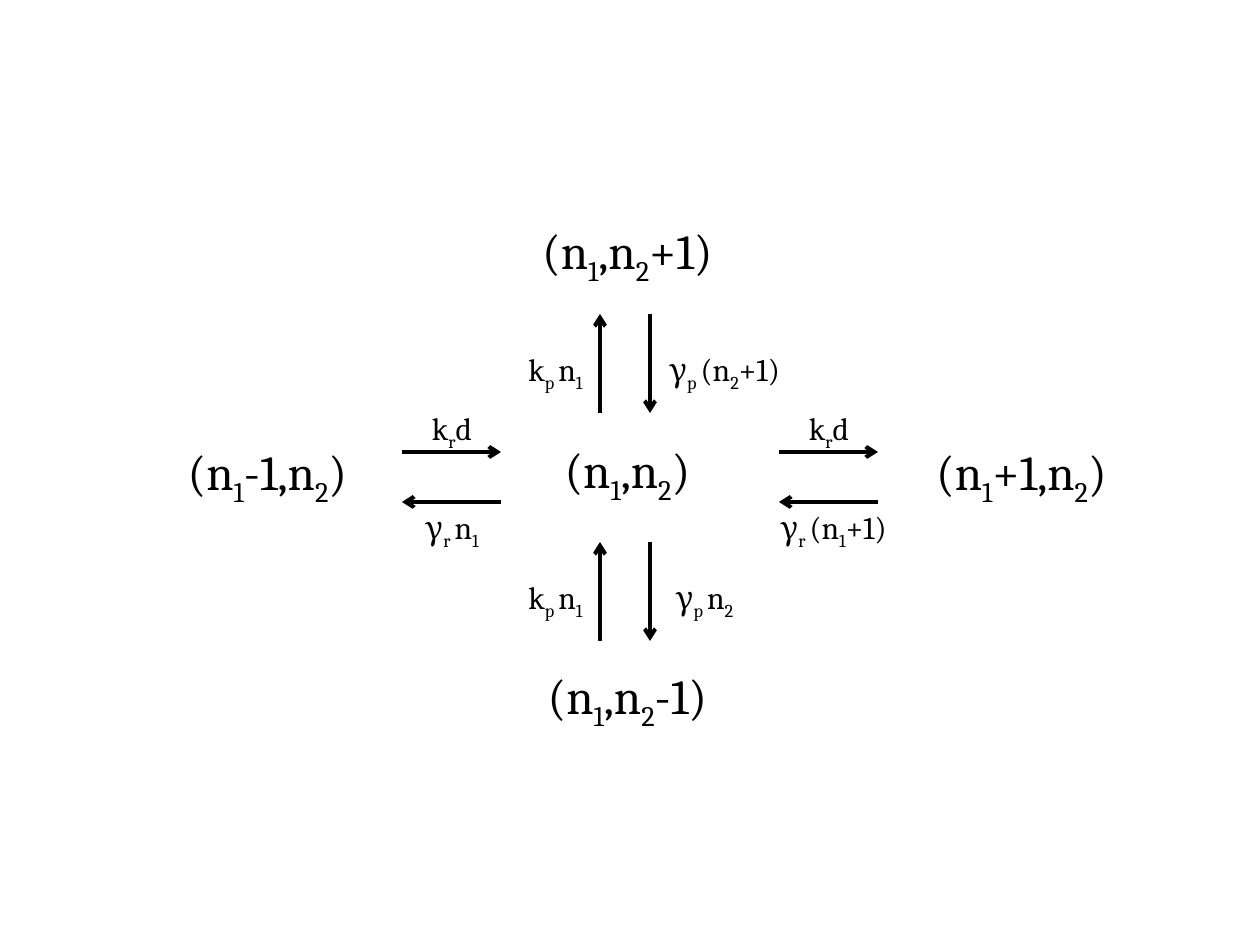
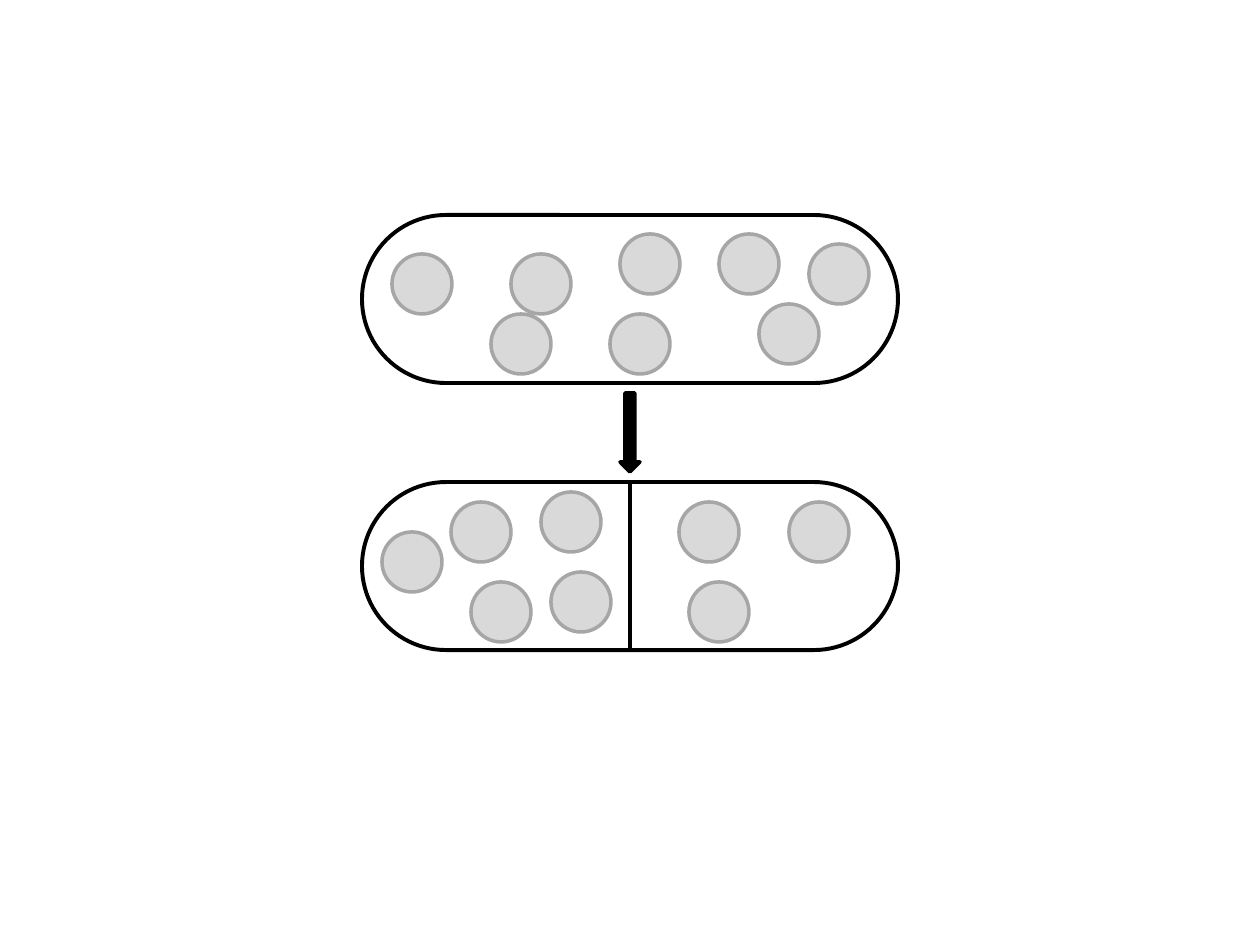
from lxml import etree
from pptx import Presentation
from pptx import util as u
from pptx.dml.color import RGBColor
from pptx.enum import shapes, text
from pptx.oxml.ns import qn

PX = u.Inches(1) / 126
FONT = "Cambria"
BLACK, GREY, PALE = "000000", "A6A6A6", "D9D9D9"
KIND = shapes.MSO_SHAPE

STATE_W, STATE_H = 367, 72
RATE_H = 50
ARROW = 99
DOT = 60


def px(*nums):
    return [u.Emu(round(n * PX)) for n in nums]


def color(code):
    return RGBColor.from_string(code)


def label(slide, words, box, size, anchor=text.MSO_ANCHOR.TOP):
    """Add centred text; every second part between bars is a subscript."""
    frame = slide.shapes.add_textbox(*px(*box)).text_frame
    frame.word_wrap = True
    frame.auto_size = text.MSO_AUTO_SIZE.SHAPE_TO_FIT_TEXT
    frame.vertical_anchor = anchor
    para = frame.paragraphs[0]
    para.alignment = text.PP_ALIGN.CENTER
    para.font.size = u.Pt(size)
    para.font.name = FONT
    para.font.color.rgb = color(BLACK)
    for i, part in enumerate(words.split("|")):
        if part:
            run = para.add_run()
            run.text = part
            if i % 2:
                run._r.get_or_add_rPr().set("baseline", "-25000")


def line(slide, start, end):
    link = slide.shapes.add_connector(
        shapes.MSO_CONNECTOR.STRAIGHT, *px(*start, *end))
    link.line.color.rgb = color(BLACK)
    link.line.width = u.Pt(2.25)
    etree.SubElement(link._element.spPr, qn("a:effectLst"))
    return link


def arrow(slide, start, end):
    link = line(slide, start, end)
    tip = etree.SubElement(link.line._get_or_add_ln(), qn("a:tailEnd"))
    tip.set("type", "arrow")


def shape(slide, kind, box, edge, width, fill=None):
    item = slide.shapes.add_shape(kind, *px(*box))
    item.shadow.inherit = False
    item.line.color.rgb = color(edge)
    item.line.width = u.Pt(width)
    if fill:
        item.fill.solid()
        item.fill.fore_color.rgb = color(fill)
    else:
        item.fill.background()
    return item


def cell(slide, top):
    item = shape(slide, KIND.ROUNDED_RECTANGLE, (362, top, 536, 168),
                 BLACK, 2.25)
    item.adjustments[0] = 0.5
    return item


def draw_states(slide):
    label(slide, "(n|1|,n|2|)", (444, 437, STATE_W, STATE_H), 28,
          text.MSO_ANCHOR.MIDDLE)
    for words, left, top in (
            ("(n|1|-1,n|2|)", 84, 435),
            ("(n|1|,n|2|+1)", 444, 214),
            ("(n|1|,n|2|-1)", 444, 659),
            ("(n|1|+1,n|2|)", 838, 435)):
        label(slide, words, (left, top, STATE_W, STATE_H), 28)

    for top in (314, 542):
        arrow(slide, (600, top + ARROW), (600, top))
        arrow(slide, (650, top), (650, top + ARROW))
    for left in (402, 779):
        arrow(slide, (left, 452), (left + ARROW, 452))
        arrow(slide, (left + ARROW, 502), (left, 502))

    for words, left, top, width in (
            ("k|r|d", 402, 403, 100),
            ("k|r|d", 779, 403, 100),
            ("γ|r |n|1", 402, 502, 100),
            ("γ|r |(n|1|+1)", 739, 502, 189),
            ("k|p |n|1", 461, 572, 189),
            ("k|p |n|1", 461, 344, 189),
            ("γ|p |n|2", 610, 572, 189),
            ("γ|p |(n|2|+1)", 630, 344, 189)):
        label(slide, words, (left, top, width, RATE_H), 18)


def draw_split(slide):
    lower = cell(slide, 482)
    cell(slide, 215)
    wall = line(slide, (630, 482), (630, 650))
    wall.begin_connect(lower, 0)
    wall.end_connect(lower, 2)
    shape(slide, KIND.DOWN_ARROW, (620, 393, 20, 79), BLACK, 2, BLACK)

    before = ((392, 254), (511, 254), (491, 314), (610, 314),
              (620, 234), (759, 304), (719, 234), (809, 244))
    after = ((689, 582), (679, 502), (471, 582), (382, 532),
             (541, 492), (551, 572), (451, 502), (789, 502))
    for left, top in before + after:
        shape(slide, KIND.OVAL, (left, top, DOT, DOT), GREY, 2, PALE)


def main():
    deck = Presentation()
    deck.slide_width, deck.slide_height = px(1260, 945)
    blank = deck.slide_layouts[6]
    for draw in (draw_states, draw_split):
        draw(deck.slides.add_slide(blank))
    deck.save("out.pptx")


if __name__ == "__main__":
    main()
